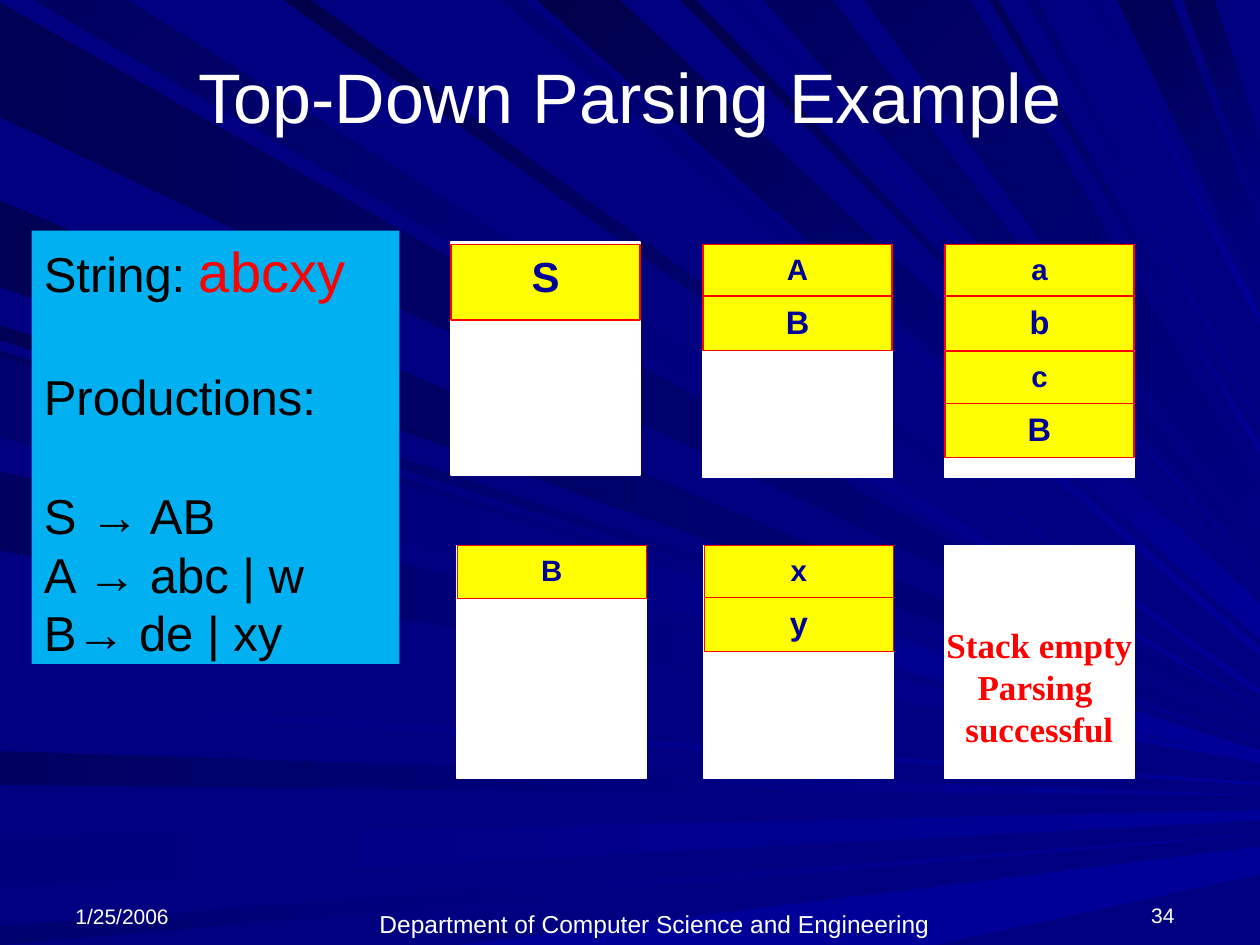
"""Build the top-down parsing slide: parse stacks over a background of light rays."""
from dataclasses import dataclass
from typing import Optional

from pptx import Presentation
from pptx.dml.color import RGBColor
from pptx.enum.shapes import MSO_SHAPE
from pptx.enum.text import MSO_ANCHOR, PP_ALIGN
from pptx.util import Pt

PX = 9144
W, H = 1000, 750
RECT = MSO_SHAPE.RECTANGLE
TOP, MIDDLE, BOTTOM = MSO_ANCHOR.TOP, MSO_ANCHOR.MIDDLE, MSO_ANCHOR.BOTTOM
LEFT, CENTER, RIGHT = PP_ALIGN.LEFT, PP_ALIGN.CENTER, PP_ALIGN.RIGHT
COLORS = {
    "navy": "000080", "ray": "000099", "white": "FFFFFF", "black": "000000",
    "red": "FF0000", "yellow": "FFFF00", "sky": "00B0F0", "ink": "000099",
    "night": "00004A", "dusk": "000055", "dark": "000061", "mid": "00006F",
    "soft": "00007D",
}
ANGLES = {"left": 0, "top": 45, "bottom": 0}


@dataclass
class Ray:
    edge: str
    near: int
    far: int
    tip: int
    start: str
    end: str = "ray"
    spread: int = 0


@dataclass
class Stack:
    x: int
    y: int
    symbols: str


@dataclass
class Label:
    text: str
    x: int
    y: int
    w: int
    h: int
    size: int
    align: PP_ALIGN
    anchor: MSO_ANCHOR


RAYS = [
    Ray("left", 2, 93, 570, "dusk", "navy"),
    Ray("top", 26, 101, 563, "dark"),
    Ray("left", 596, 623, 631, "dark"),
    Ray("left", 665, 704, 643, "soft", spread=8),
    Ray("left", 735, 750, 662, "mid"),
    Ray("bottom", 364, 742, 672, "ray", spread=22),
    Ray("left", 258, 270, 589, "dusk"),
    Ray("left", 159, 228, 584, "dusk", "navy"),
    Ray("top", 398, 416, 521, "mid", spread=-6),
    Ray("top", 426, 492, 507, "night", spread=-28),
    Ray("top", 540, 552, 463, "night"),
    Ray("top", 606, 661, 446, "dark", "navy"),
    Ray("top", 887, 930, 237, "dusk", "navy", -54),
    Ray("top", 939, 964, 167, "dusk", "navy", -53),
    Ray("left", 278, 342, 596, "dark", spread=6),
    Ray("left", 374, 437, 605, "dark"),
    Ray("left", 552, 560, 621, "navy", spread=2),
    Ray("top", 225, 247, 552, "night", spread=-5),
    Ray("top", 577, 588, 454, "soft"),
    Ray("top", 686, 770, 428, "dark", "navy", -38),
    Ray("top", 785, 792, 360, "dusk", spread=-6),
    Ray("top", 815, 824, 336, "mid"),
    Ray("top", 865, 872, 258, "soft", spread=-9),
    Ray("left", 283, 347, 601, "mid", spread=5),
]
LABELS = [
    Label("1/25/2006", 50, 709, 108, 33, 12, LEFT, BOTTOM),
    Label("Department of Computer Science and Engineering",
          182, 717, 675, 33, 14, CENTER, BOTTOM),
    Label("34", 875, 708, 67, 33, 12, RIGHT, BOTTOM),
    Label("Top-Down Parsing Example", 50, 30, 900, 92, 40, CENTER, MIDDLE),
]
STACKS = [
    Stack(558, 194, "AB"), Stack(358, 192, "S"), Stack(750, 194, "abcB"),
    Stack(363, 433, "B"), Stack(559, 433, "xy"), Stack(750, 433, ""),
]
STACK_W, STACK_H = 150, 185
CELLS = [(42, 41, 16.8), (43, 44, 18.6)]
START_CELL = (60, 60, 24)
GRAMMAR = ["String: abcxy", "Productions:", "S → AB", "A → abc | w", "B→ de | xy"]
GRAMMAR_GAPS = {1: 36, 2: 34}
RESULT = "Stack empty\nParsing \nsuccessful"


def rgb(name: str) -> RGBColor:
    """Look up a palette colour."""
    return RGBColor.from_string(COLORS[name])


def style(r, size: float, color: str, font: str = "Arial", bold: bool = False) -> None:
    """Format one run."""
    r.font.size, r.font.name, r.font.bold = Pt(size), font, bold
    r.font.color.rgb = rgb(color)


def set_text(sp, text: str, size: float, color: str, align=CENTER, anchor=TOP,
             font: str = "Arial", bold: bool = False, wrap: bool = True):
    """Fill a shape with evenly formatted paragraphs."""
    tf = sp.text_frame
    tf.text = text
    tf.word_wrap, tf.vertical_anchor = wrap, anchor
    for p in tf.paragraphs:
        p.alignment = align
        for r in p.runs:
            style(r, size, color, font, bold)
    return tf


def add_ray(s, ray: Ray) -> None:
    """Draw one ray from a slide edge to the right-hand side."""
    if ray.edge == "left":
        near, far = (0, ray.near), (0, ray.far)
    else:
        y = H if ray.edge == "bottom" else 0
        near, far = (ray.near, y), (ray.far, y)
    builder = s.shapes.build_freeform(*near, scale=PX)
    builder.add_line_segments([(W, ray.tip), (W, ray.tip + ray.spread), far])
    sp = builder.convert_to_shape()
    sp.shadow.inherit = False
    sp.line.fill.background()
    sp.fill.gradient()
    sp.fill.gradient_angle = 360 - ANGLES[ray.edge]
    for stop, color in zip(sp.fill.gradient_stops, (ray.start, ray.end)):
        stop.color.rgb = rgb(color)


def add_rect(s, x: int, y: int, w: int, h: int, fill: str,
             line: Optional[str] = None, width: float = 0.75):
    """Draw a flat rectangle."""
    sp = s.shapes.add_shape(RECT, x * PX, y * PX, w * PX, h * PX)
    sp.shadow.inherit = False
    sp.fill.solid()
    sp.fill.fore_color.rgb = rgb(fill)
    if line:
        sp.line.color.rgb, sp.line.width = rgb(line), Pt(width)
    else:
        sp.line.fill.background()
    return sp


def add_label(s, label: Label) -> None:
    """Add the title or a footer text."""
    sp = s.shapes.add_textbox(label.x * PX, label.y * PX, label.w * PX, label.h * PX)
    set_text(sp, label.text, label.size, "white", label.align, label.anchor)


def add_grammar(s) -> None:
    """Add the panel with the input string and the productions."""
    sp = add_rect(s, 25, 183, 292, 344, "sky")
    tf = set_text(sp, "\n".join(GRAMMAR), 28, "black", LEFT)
    for i, gap in GRAMMAR_GAPS.items():
        tf.paragraphs[i].space_before = Pt(gap)
    p = tf.paragraphs[0]
    label, word = GRAMMAR[0].split()
    p.runs[0].text = label + " "
    r = p.add_run()
    r.text = word
    style(r, 32, "red")


def add_stack(s, stack: Stack) -> None:
    """Draw one parse stack, or the result when it is empty."""
    box = add_rect(s, stack.x, stack.y, STACK_W, STACK_H, "white", "white", 1)
    y = max(stack.y, 194)
    for i, symbol in enumerate(stack.symbols):
        h, step, size = START_CELL if symbol == "S" else CELLS[i % 2]
        sp = add_rect(s, stack.x, y, STACK_W, h, "yellow", "red")
        set_text(sp, symbol, size, "ink", bold=True)
        y += step
    if not stack.symbols:
        tf = set_text(box, RESULT, 20, "red", CENTER, MIDDLE, "Times New Roman", True, False)
        tf.margin_top = 44 * PX


def main() -> None:
    """Assemble and save the slide."""
    prs = Presentation()
    prs.slide_width, prs.slide_height = W * PX, H * PX
    s = prs.slides.add_slide(prs.slide_layouts[6])
    s.background.fill.solid()
    s.background.fill.fore_color.rgb = rgb("navy")
    for ray in RAYS:
        add_ray(s, ray)
    for label in LABELS:
        add_label(s, label)
    add_grammar(s)
    for stack in STACKS:
        add_stack(s, stack)
    prs.save("out.pptx")


if __name__ == "__main__":
    main()
